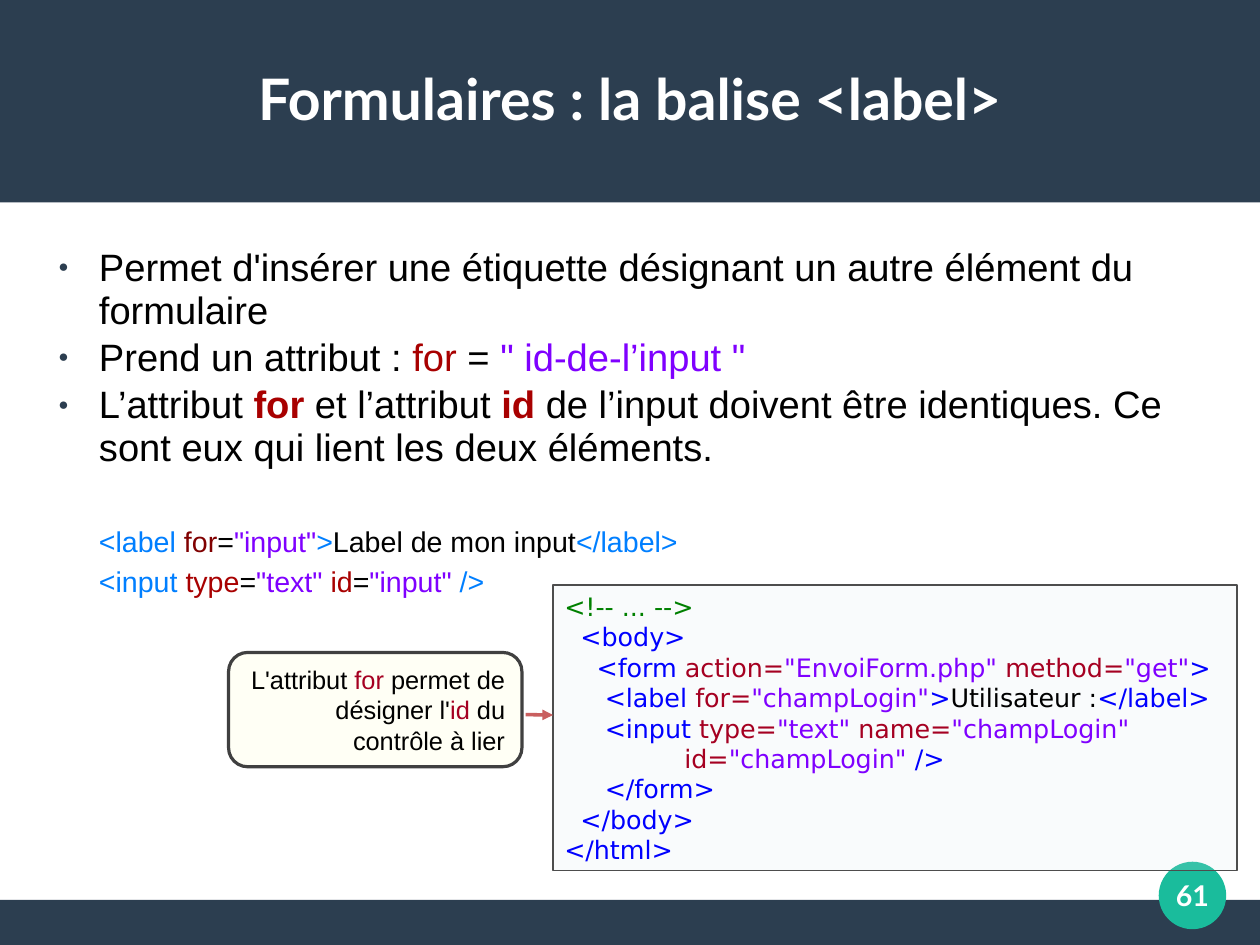
from dataclasses import dataclass
from typing import NamedTuple

from lxml.etree import SubElement
from pptx import Presentation
from pptx.dml.color import RGBColor
from pptx.enum.shapes import MSO_CONNECTOR as Link, MSO_SHAPE as Kind
from pptx.enum.text import MSO_ANCHOR as Anchor, PP_ALIGN as Align
from pptx.oxml.ns import qn
from pptx.util import Cm, Pt


@dataclass(frozen=True)
class Theme:
    navy: str = "2C3E50"
    teal: str = "1ABC9C"
    white: str = "FFFFFF"
    black: str = "000000"
    red: str = "A80000"
    maroon: str = "800000"
    wine: str = "A50021"
    violet: str = "7F00FF"
    sky: str = "007FFF"
    blue: str = "0000FF"
    green: str = "008000"
    mist: str = "DAE6F0"
    cream: str = "FFFFC2"
    frame: str = "4D4D4D"
    edge: str = "404040"
    coral: str = "C95F5F"
    head: float = 36
    body: float = 24
    small: float = 18
    code: float = 16
    sans: str = "Arial"
    mono: str = "DejaVu Sans"
    title: str = "Lato"


T = Theme()


class Run(NamedTuple):
    text: str
    color: str = T.black
    bold: bool = False


class Font(NamedTuple):
    name: str
    size: float


class Box(NamedTuple):
    left: float
    top: float
    width: float
    height: float


@dataclass
class Para:
    runs: list[Run]
    font: Font
    indent: float = 0
    align: Align = Align.LEFT
    lead: float = 1
    before: float = 0
    after: float = 0
    bullet: bool = False


class Panel(NamedTuple):
    kind: Kind
    box: Box
    fill: str
    alpha: int = 100
    line: str = ""
    weight: float = 0


def mark(props) -> None:
    """Give a paragraph a small hanging bullet."""
    props.set("indent", str(Cm(-0.9)))
    SubElement(SubElement(props, qn("a:buClr")), qn("a:srgbClr"), val=T.navy)
    SubElement(props, qn("a:buSzPct"), val="45000")
    SubElement(props, qn("a:buFont"), typeface=T.sans)
    SubElement(props, qn("a:buChar"), char="●")


def write(shape, paras: list[Para], anchor=Anchor.MIDDLE, inset=(0, 0)) -> None:
    frame = shape.text_frame
    frame.word_wrap = True
    frame.vertical_anchor = anchor
    frame.margin_left = frame.margin_right = Cm(inset[0])
    frame.margin_top = frame.margin_bottom = Cm(inset[1])
    for i, para in enumerate(paras):
        line = frame.add_paragraph() if i else frame.paragraphs[0]
        line.alignment = para.align
        line.line_spacing = para.lead
        line.space_before = Pt(para.before)
        line.space_after = Pt(para.after)
        props = line._p.get_or_add_pPr()
        props.set("marL", str(Cm(para.indent)))
        if para.bullet:
            mark(props)
        for run in para.runs:
            part = line.add_run()
            part.text = run.text
            part.font.name, part.font.size = para.font.name, Pt(para.font.size)
            part.font.bold = run.bold
            part.font.color.rgb = RGBColor.from_string(run.color)


def draw(slide, panel: Panel):
    shape = slide.shapes.add_shape(panel.kind, *map(Cm, panel.box))
    shape.shadow.inherit = False
    shape.fill.solid()
    shape.fill.fore_color.rgb = RGBColor.from_string(panel.fill)
    if panel.alpha < 100:
        color = shape._element.spPr.find(f"{qn('a:solidFill')}/{qn('a:srgbClr')}")
        SubElement(color, qn("a:alpha"), val=str(panel.alpha * 1000))
    if panel.line:
        shape.line.color.rgb = RGBColor.from_string(panel.line)
        shape.line.width = Pt(panel.weight)
    else:
        shape.line.fill.background()
    return shape


def point(slide, start: tuple[float, float], end: tuple[float, float]) -> None:
    arrow = slide.shapes.add_connector(Link.STRAIGHT, *map(Cm, start + end))
    arrow.line.color.rgb = RGBColor.from_string(T.coral)
    arrow.line.width = Pt(2.25)
    SubElement(arrow.line._get_or_add_ln(), qn("a:tailEnd"), type="triangle")
    SubElement(arrow._element.spPr, qn("a:effectLst"))


BODY, SMALL = Font(T.sans, T.body), Font(T.sans, T.small)
CODE, NOTE = Font(T.mono, T.code), Font(T.sans, T.code)

POINTS = [
    [Run("Permet d'insérer une étiquette désignant un autre élément du formulaire")],
    [Run("Prend un attribut : "), Run("for", T.red), Run(" = "),
     Run('" id-de-l’input "', T.violet)],
    [Run("L’attribut "), Run("for ", T.red, True), Run("et l’attribut "),
     Run("id ", T.red, True),
     Run("de l’input doivent être identiques. Ce sont eux qui lient les deux éléments.")],
]
LABEL = [Run("<label ", T.sky), Run("for", T.maroon), Run("="), Run('"input"', T.violet),
         Run(">", T.sky), Run("Label de mon input"), Run("</label>", T.sky)]
INPUT = [Run("<input ", T.sky), Run("type", T.red), Run("="), Run('"text" ', T.violet),
         Run("id", T.red), Run("="), Run('"input" ', T.violet), Run("/>", T.sky)]

# Left indent in cm, then the runs of the line
SOURCE = [
    (0, [Run("<!-- ... -->", T.green)]),
    (0.36, [Run("<body>", T.blue)]),
    (0.72, [Run("<form ", T.blue), Run("action=", T.wine), Run('"EnvoiForm.php" ', T.violet),
            Run("method=", T.wine), Run('"get"', T.violet), Run(">", T.blue)]),
    (0.9, [Run("<label ", T.blue), Run("for=", T.wine), Run('"champLogin"', T.violet),
           Run(">", T.blue), Run("Utilisateur :"), Run("</label>", T.blue)]),
    (0.9, [Run("<input ", T.blue), Run("type=", T.wine), Run('"text" ', T.violet),
           Run("name=", T.wine), Run('"champLogin"', T.violet)]),
    (2.67, [Run("id=", T.wine), Run('"champLogin" ', T.violet), Run("/>", T.blue)]),
    (0.9, [Run("</form>", T.blue)]),
    (0.36, [Run("</body>", T.blue)]),
    (0, [Run("</html>", T.blue)]),
]
HINT = [Run("L'attribut "), Run("for ", T.wine), Run("permet de désigner l'"),
        Run("id ", T.wine), Run("du contrôle à lier")]


def main() -> None:
    deck = Presentation()
    deck.slide_width, deck.slide_height = Cm(28), Cm(21)
    slide = deck.slides.add_slide(deck.slide_layouts[6])

    for box in (Box(0, 20, 28, 1), Box(0, 0, 28, 4.5)):
        draw(slide, Panel(Kind.RECTANGLE, box, T.navy))
    badge = draw(slide, Panel(Kind.OVAL, Box(25.75, 19.15, 1.5, 1.5), T.teal))
    write(badge, [Para([Run("61", T.white, True)], Font(T.title, T.small), align=Align.CENTER)])

    title = slide.shapes.add_textbox(*map(Cm, Box(1, 0.85, 26, 2.65)))
    write(title, [Para([Run("Formulaires : la balise <label>", T.white, True)],
                       Font(T.title, T.head), align=Align.CENTER)])

    body = slide.shapes.add_textbox(*map(Cm, Box(1, 5.5, 26, 14)))
    paras = [Para(runs, BODY, 1.2, lead=0.93, after=3.1, bullet=True) for runs in POINTS]
    paras += [Para(LABEL, SMALL, 1.2, lead=0.93, before=33, after=3.1),
              Para(INPUT, SMALL, 1.2)]
    write(body, paras, Anchor.TOP)

    code = draw(slide, Panel(Kind.RECTANGLE, Box(12.29, 13, 15.2, 6.35), T.mist, 15, T.frame, 1))
    write(code, [Para(runs, CODE, indent) for indent, runs in SOURCE], inset=(0.25, 0.13))

    note = draw(slide, Panel(Kind.ROUNDED_RECTANGLE, Box(5.08, 14.5, 6.52, 2.54),
                             T.cream, 15, T.edge, 2))
    write(note, [Para(HINT, NOTE, align=Align.RIGHT)], inset=(0.25, 0.13))
    point(slide, (11.68, 15.88), (12.29, 15.89))

    deck.save("out.pptx")


if __name__ == "__main__":
    main()
